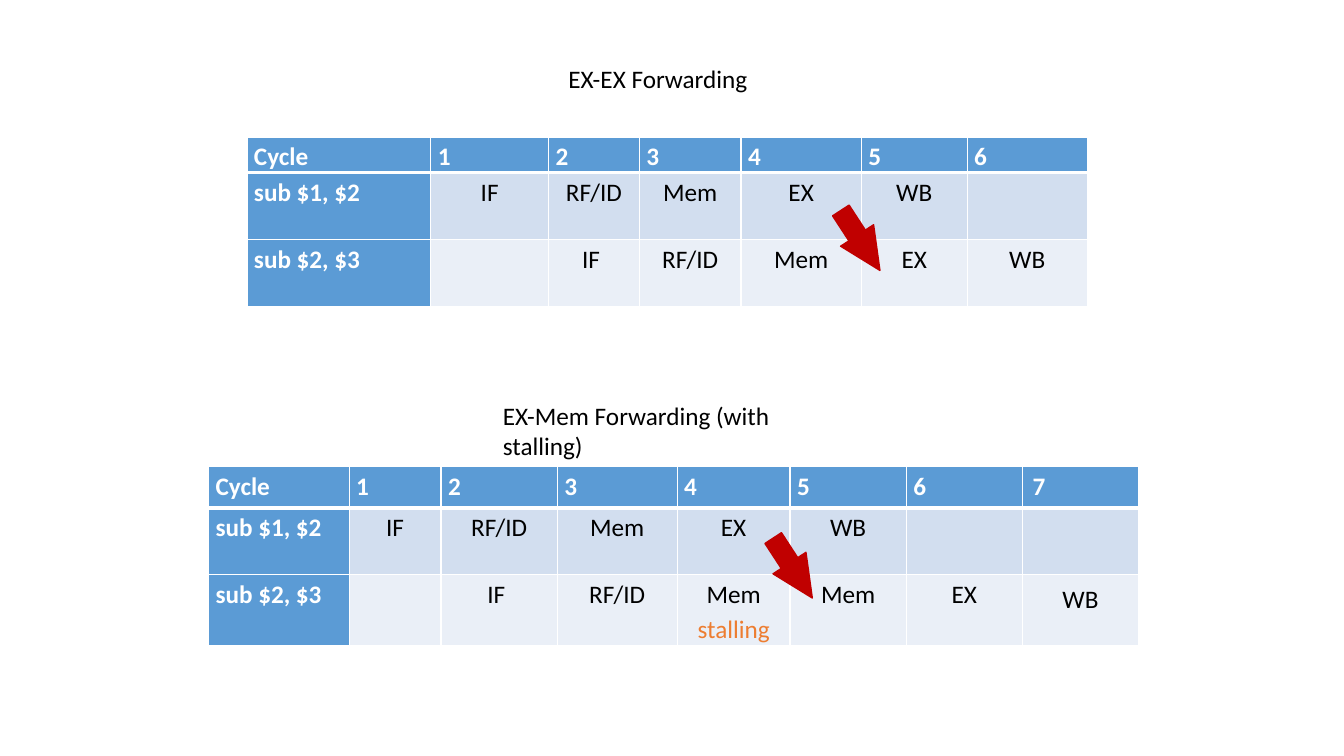
"""Builds a slide with two pipeline tables that show result forwarding."""
from dataclasses import dataclass

from lxml import etree
from pptx import Presentation
from pptx import util as u
from pptx.dml.color import RGBColor
from pptx.enum import shapes, text
from pptx.oxml import ns

WHITE = RGBColor(0xFF, 0xFF, 0xFF)
BLACK = RGBColor(0x00, 0x00, 0x00)
BLUE = RGBColor(0x5B, 0x9B, 0xD5)
BAND_DARK = RGBColor(0xD2, 0xDE, 0xEF)
BAND_LIGHT = RGBColor(0xEA, 0xEF, 0xF7)
ORANGE = RGBColor(0xED, 0x7D, 0x31)
RED = RGBColor(0xC0, 0x00, 0x00)
FONT = "Calibri"
LEFT, CENTER = text.PP_ALIGN.LEFT, text.PP_ALIGN.CENTER


@dataclass(frozen=True)
class Pipeline:
    caption: str
    caption_box: tuple[float, float, float]
    corner: tuple[float, float]
    columns: list[float]
    rows: list[float]
    stages: list[list[str]]
    arrow: tuple[float, float]
    roomy_cells: tuple[tuple[int, int], ...] = ()


PIPELINES = [
    Pipeline(
        caption="EX-EX Forwarding",
        caption_box=(398.9, 41.8, 219.6),
        corner=(176.4, 97.9),
        columns=[131.3, 84.2, 64.8, 72.7, 85.9, 75.6, 85.9],
        rows=[25, 48, 48],
        stages=[
            ["sub $1, $2 ", "IF", "RF/ID", "Mem", "EX", "WB", ""],
            ["sub $2, $3", "", "IF ", "RF/ID", "Mem", "EX", "WB"],
        ],
        arrow=(589, 157.7),
    ),
    Pipeline(
        caption="EX-Mem Forwarding (with stalling)",
        caption_box=(352.1, 282.2, 262.1),
        corner=(149, 333.4),
        columns=[100.4, 65.7, 83, 85.7, 80.6, 83, 83, 83],
        rows=[29.2, 48, 50.6],
        stages=[
            ["sub $1, $2 ", "IF", "RF/ID", "Mem", "EX", "WB", "", ""],
            ["sub $2, $3", "", "IF ", "RF/ID", "Mem\nstalling", "Mem", "EX", "WB"],
        ],
        arrow=(540.7, 391.7),
        roomy_cells=((0, 7), (2, 7)),
    ),
]


def write(frame, content: str, *, color: RGBColor = BLACK, bold: bool = False,
          align=LEFT, spacing: float = 1.0) -> None:
    for index, line in enumerate(content.split("\n")):
        paragraph = frame.paragraphs[0] if index == 0 else frame.add_paragraph()
        paragraph.alignment = align
        paragraph.line_spacing = spacing
        paragraph.font.size = u.Pt(18)
        if line:
            run = paragraph.add_run()
            run.text = line
            run.font.name = FONT
            run.font.size = u.Pt(18)
            run.font.bold = bold
            run.font.color.rgb = ORANGE if line == "stalling" else color


def draw_borders(cell, is_header: bool, below_header: bool) -> None:
    properties = cell._tc.get_or_add_tcPr()
    widths = {"lnL": 1, "lnR": 1, "lnT": 3 if below_header else 1, "lnB": 3 if is_header else 1}
    for index, (side, width) in enumerate(widths.items()):
        border = etree.Element(ns.qn(f"a:{side}"), w=str(u.Pt(width)))
        fill = etree.SubElement(border, ns.qn("a:solidFill"))
        etree.SubElement(fill, ns.qn("a:srgbClr"), val=str(WHITE))
        properties.insert(index, border)


def draw_table(slide, pipeline: Pipeline) -> None:
    cycles = ["Cycle", *(str(n) for n in range(1, len(pipeline.columns)))]
    contents = [cycles, *pipeline.stages]
    left, top = pipeline.corner
    table = slide.shapes.add_table(
        len(contents), len(cycles), u.Pt(left), u.Pt(top),
        u.Pt(sum(pipeline.columns)), u.Pt(sum(pipeline.rows))).table
    for column, width in zip(table.columns, pipeline.columns):
        column.width = u.Pt(width)
    for r, (row, height) in enumerate(zip(table.rows, pipeline.rows)):
        row.height = u.Pt(height)
        for c, content in enumerate(contents[r]):
            cell = table.cell(r, c)
            is_heading = r == 0 or c == 0
            roomy = (r, c) in pipeline.roomy_cells
            cell.margin_left = cell.margin_right = u.Pt(7.2 if roomy else 5.04)
            cell.margin_top = cell.margin_bottom = u.Pt(3.6 if roomy else 0)
            cell.fill.solid()
            cell.fill.fore_color.rgb = BLUE if is_heading else (BAND_DARK if r == 1 else BAND_LIGHT)
            draw_borders(cell, r == 0, r == 1)
            write(cell.text_frame, content, color=WHITE if is_heading else BLACK,
                  bold=is_heading, align=LEFT if is_heading else CENTER,
                  spacing=1.0 if roomy and r == 0 else 1.15)


def draw_arrow(slide, position: tuple[float, float]) -> None:
    left, top = position
    arrow = slide.shapes.add_shape(
        shapes.MSO_SHAPE.RIGHT_ARROW, u.Pt(left), u.Pt(top), u.Pt(51.1), u.Pt(28.1))
    arrow.adjustments[0] = 0.5
    arrow.adjustments[1] = 1.06
    arrow.rotation = 56.9
    arrow.shadow.inherit = False
    arrow.fill.solid()
    arrow.fill.fore_color.rgb = RED
    arrow.line.color.rgb = RED
    arrow.line.width = u.Pt(1)


def draw_caption(slide, pipeline: Pipeline) -> None:
    left, top, width = pipeline.caption_box
    frame = slide.shapes.add_textbox(u.Pt(left), u.Pt(top), u.Pt(width), u.Pt(29)).text_frame
    frame.word_wrap = True
    frame.auto_size = text.MSO_AUTO_SIZE.SHAPE_TO_FIT_TEXT
    write(frame, pipeline.caption)


def main() -> None:
    deck = Presentation()
    deck.slide_width, deck.slide_height = u.Pt(960), u.Pt(540)
    slide = deck.slides.add_slide(deck.slide_layouts[6])
    for pipeline in PIPELINES:
        draw_table(slide, pipeline)
        draw_arrow(slide, pipeline.arrow)
    for pipeline in PIPELINES:
        draw_caption(slide, pipeline)
    deck.save("out.pptx")


main()
